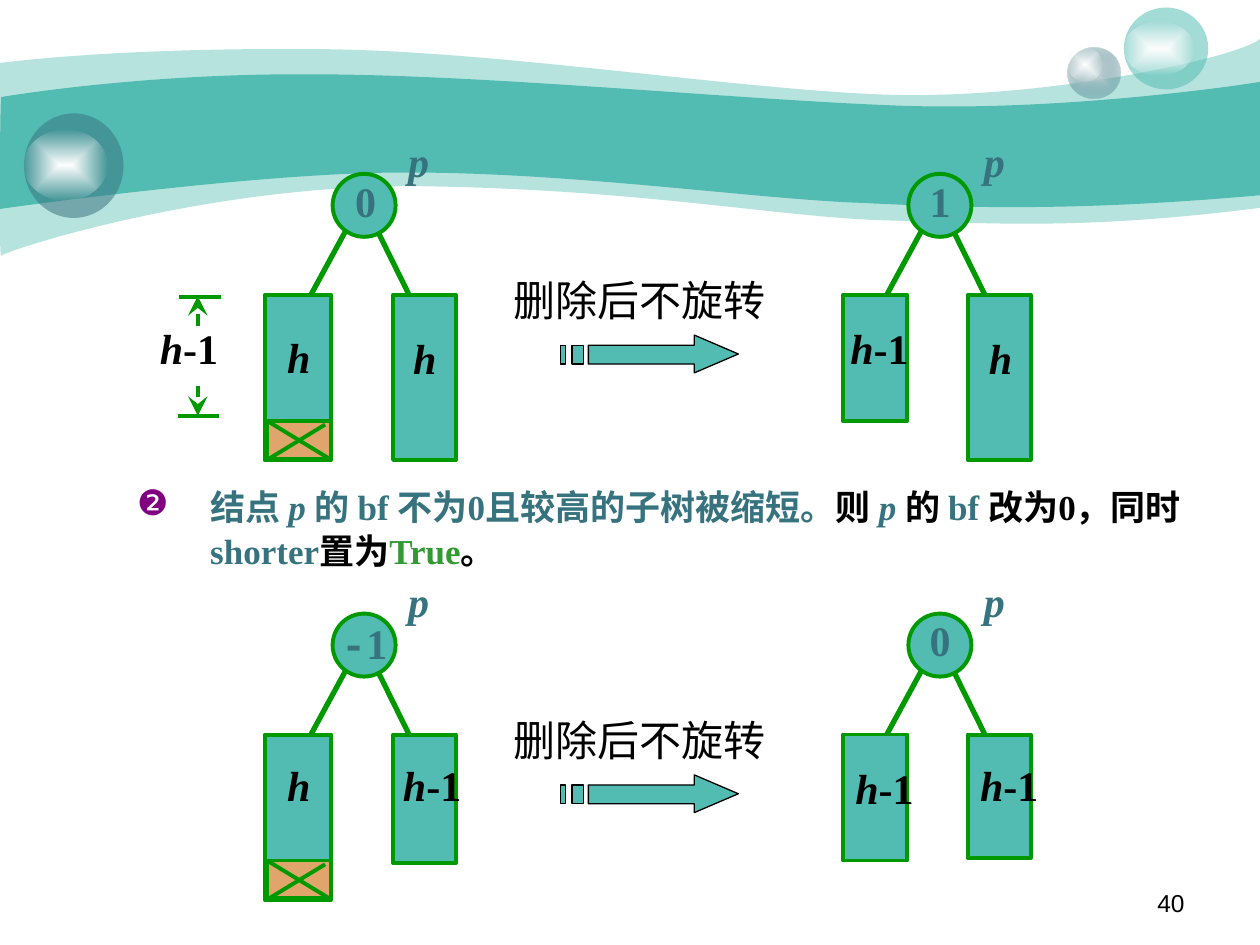
"""Build the slide on AVL tree deletion without rotation."""
from lxml.etree import SubElement
from pptx import Presentation
from pptx.dml.color import RGBColor
from pptx.enum.shapes import MSO_CONNECTOR, MSO_SHAPE
from pptx.enum.text import PP_ALIGN
from pptx.oxml.ns import qn
from pptx.util import Inches, Pt

COLORS = {"teal": "52BCB2", "slate": "37737F", "mist": "CCDBDE", "white": "FFFFFF",
          "green": "009900", "true": "339933", "sand": "E0A56A", "black": "000000",
          "bullet": "800080"}
SERIF = "Times New Roman"

prs = Presentation()
prs.slide_width, prs.slide_height = Inches(10), Inches(7.5)
slide = prs.slides.add_slide(prs.slide_layouts[6])
shapes = slide.shapes


def paint(shape, fill, line=None, width=2.25, alpha=100):
    shape.shadow.inherit = False
    shape.fill.solid()
    shape.fill.fore_color.rgb = RGBColor.from_string(COLORS[fill])
    if alpha < 100:
        color = shape.fill._xPr.find(qn("a:solidFill"))[0]
        SubElement(color, qn("a:alpha"), val=str(alpha * 1000))
    if line:
        shape.line.color.rgb = RGBColor.from_string(COLORS[line])
        shape.line.width = Pt(width)
    else:
        shape.line.fill.background()


def write(left, top, width, height, runs, size=24, bold=True, wrap=True):
    box = shapes.add_textbox(Inches(left), Inches(top), Inches(width), Inches(height))
    box.text_frame.word_wrap = wrap
    paragraph = box.text_frame.paragraphs[0]
    for text, color, italic, font in runs:
        run = paragraph.add_run()
        run.text = text
        run.font.name, run.font.size = font, Pt(size)
        run.font.bold, run.font.italic = bold, italic
        run.font.color.rgb = RGBColor.from_string(COLORS[color])
    return paragraph


waves = [
    (41, (0, 0.5),
     [[(0.24, 0.47), (1.07, 0.38), (2.47, 0.39)], [(3.86, 0.39), (5.75, 0.7), (6.99, 0.75)],
      [(8.22, 0.8), (9.8, 0.47), (10, 0.31)], [(10, 1.65)],
      [(8.58, 1.83), (7.87, 1.77), (7.05, 1.75)], [(6.22, 1.73), (5.15, 1.51), (3.43, 1.48)],
      [(1.72, 1.44), (0.04, 1.99), (0.01, 2.03)], [(-0.01, 2.08), (0, 0.75), (0, 0.5)]]),
    (100, (0.01, 0.77),
     [[(0.02, 0.77), (1.1, 0.58), (2.48, 0.59)], [(3.86, 0.59), (5.95, 0.8), (7.18, 0.84)],
      [(8.41, 0.88), (9.76, 0.69), (10, 0.65)], [(10, 1.55)],
      [(8.53, 1.68), (7.65, 1.65), (6.82, 1.61)], [(5.99, 1.58), (4.47, 1.36), (3.17, 1.37)],
      [(2.03, 1.37), (-0.02, 1.66), (-0.01, 1.66)], [(0, 1.66), (0, 0.77), (0.01, 0.77)]]),
]
for alpha, start, segments in waves:
    builder = shapes.build_freeform(Inches(start[0]), Inches(start[1]))
    builder.add_line_segments([(Inches(x), Inches(y)) for x, y in
                               (segment[-1] for segment in segments)], close=True)
    wave = builder.convert_to_shape()
    paint(wave, "teal", alpha=alpha)
    edges = list(wave._element.iter(qn("a:lnTo")))
    for edge, segment in zip(edges, segments):
        if len(segment) == 1:
            continue
        curve = edge.makeelement(qn("a:cubicBezTo"))
        for x, y in segment:
            SubElement(curve, qn("a:pt"), x=str(Inches(x) - wave.left),
                       y=str(Inches(y) - wave.top))
        edge.getparent().replace(edge, curve)

gloss = [("white", 100), ("white", 0)]
bubbles = [
    (8.47, 0.38, 0.42, 0.4, [("mist", 100), ("slate", 31)]),
    (8.47, 0.38, 0.28, 0.27, gloss),
    (8.92, 0.06, 0.67, 0.65, [("teal", 53)]),
    (8.92, 0.17, 0.56, 0.43, gloss),
    (0.19, 0.9, 0.79, 0.83, [("slate", 53)]),
    (0.19, 1.03, 0.66, 0.56, gloss),
]
for *place, stops in bubbles:
    bubble = shapes.add_shape(MSO_SHAPE.OVAL, *map(Inches, place))
    paint(bubble, stops[0][0], alpha=stops[0][1])
    if len(stops) == 1:
        continue
    bubble.fill.gradient()
    gradient = bubble.fill._xPr.find(qn("a:gradFill"))
    for child in list(gradient):
        gradient.remove(child)
    stop_list = SubElement(gradient, qn("a:gsLst"))
    for position, (color, alpha) in zip((0, 100000), stops):
        stop = SubElement(stop_list, qn("a:gs"), pos=str(position))
        stop_color = SubElement(stop, qn("a:srgbClr"), val=COLORS[color])
        SubElement(stop_color, qn("a:alpha"), val=str(alpha * 1000))
    focus = SubElement(gradient, qn("a:path"), path="rect")
    SubElement(focus, qn("a:fillToRect"), l="50000", t="50000", r="50000", b="50000")

page_number = write(7.17, 7, 2.33, 0.35, [("40", "black", False, "Arial")], 14, False)
page_number.alignment = PP_ALIGN.RIGHT

rule = write(0.49, 3.79, 9, 3.82, [
    (text, color, italic, SERIF) for text, color, italic in [
        ("结点 ", "slate", False), ("p ", "slate", True),
        ("的 bf 不为0且较高的子树被缩短。", "slate", False), ("则 ", "black", False),
        ("p ", "slate", True), ("的 ", "black", False), ("bf ", "slate", False),
        ("改为0，同时", "black", False), ("shorter", "slate", False),
        ("置为", "black", False), ("True", "true", False), ("。", "black", False)]], 20)
rule.line_spacing = 1.05
rule_properties = rule._p.get_or_add_pPr()
rule_properties.set("marL", str(Inches(1.08)))
rule_properties.set("indent", str(Inches(-0.58)))
bullet_color = SubElement(rule_properties, qn("a:buClr"))
SubElement(bullet_color, qn("a:srgbClr"), val=COLORS["bullet"])
SubElement(rule_properties, qn("a:buChar"), char="❷")

ROW, COLUMN = 3.49, 4.57
arrow_parts = [
    [(5.51, 2.66), (5.51, 2.74), (4.67, 2.74), (4.67, 2.89), (5.51, 2.89), (5.51, 2.96),
     (5.86, 2.81)],
    [(4.54, 2.74), (4.54, 2.89), (4.63, 2.89), (4.63, 2.74)],
    [(4.45, 2.74), (4.45, 2.89), (4.49, 2.89), (4.49, 2.74)],
]
for dy in (0, ROW):
    builder = None
    for part in arrow_parts:
        corners = [(Inches(x), Inches(y + dy)) for x, y in part]
        if builder is None:
            builder = shapes.build_freeform(*corners[0])
        else:
            builder.move_to(*corners[0])
        builder.add_line_segments(corners[1:], close=True)
    paint(builder.convert_to_shape(), "teal", "black", 0.75)
    write(3.98, 2.13 + dy, 2.2, 0.5, [("删除后不旋转", "black", False, SERIF)],
          bold=False, wrap=False)

height = [("h", "black", True, SERIF)]
shorter_height = height + [("-1", "black", False, SERIF)]
balance = {value: [(value, "slate", False, SERIF)] for value in "01"}
minus_one = [("-", "slate", False, "Courier New")] + balance["1"]
trees = [
    (0, 0, balance["0"], (2.72, 1.34), (2.1, 0.53, 1.31), (3.12, 0.5, 1.31), True,
     [(2.18, 2.58, height), (3.18, 2.59, height), (1.17, 2.51, shorter_height)]),
    (COLUMN, 0, balance["1"], (7.28, 1.34), (6.69, 0.51, 1), (7.68, 0.5, 1.31), False,
     [(7.75, 2.59, height), (6.65, 2.51, shorter_height)]),
    (0, ROW, minus_one, (2.61, 4.85), (2.1, 0.53, 1.31), (3.12, 0.5, 1.02), True,
     [(2.18, 5.98, height), (3.1, 5.98, shorter_height)]),
    (COLUMN, ROW, balance["0"], (7.28, 4.83), (6.69, 0.51, 1), (7.68, 0.5, 0.98), False,
     [(6.69, 6, shorter_height), (7.68, 5.98, shorter_height)]),
]
branches = [(2.98, 1.8, 3.39, 2.63, 3, False), (2.81, 1.71, 2.31, 2.63, 3, False)]
cross = [(2.58, 3.37, 2.12, 3.65, 2.25, False), (2.12, 3.34, 2.63, 3.65, 2.25, False)]
measure = [(1.57, 3.06, 1.57, 3.3, 2.25, True), (1.41, 3.3, 1.74, 3.3, 2.25, False),
           (1.42, 2.36, 1.75, 2.36, 2.25, False), (1.57, 2.59, 1.57, 2.35, 2.25, True)]
for dx, dy, root, root_at, left_tree, right_tree, deleted, labels in trees:
    nodes = [(MSO_SHAPE.OVAL, 2.64 + dx, 1.38, 0.5, 0.5, "teal")]
    for x, w, h in (left_tree, right_tree):
        nodes.append((MSO_SHAPE.RECTANGLE, x, 2.34, w, h, "teal"))
    marks = []
    if deleted:
        nodes.append((MSO_SHAPE.RECTANGLE, 2.12, 3.34, 0.51, 0.3, "sand"))
        marks = cross + (measure if dy == 0 else [])
    write(3.14 + dx, 1.03 + dy, 0.52, 0.5, [("p", "slate", True, SERIF)])
    for strokes, figures in ((branches, nodes), (marks, [])):
        for x1, y1, x2, y2, weight, arrow in strokes:
            stroke = shapes.add_connector(MSO_CONNECTOR.STRAIGHT, Inches(x1 + dx),
                                          Inches(y1 + dy), Inches(x2 + dx), Inches(y2 + dy))
            stroke.line.color.rgb = RGBColor.from_string(COLORS["green"])
            stroke.line.width = Pt(weight)
            if arrow:
                SubElement(stroke.line._get_or_add_ln(), qn("a:tailEnd"),
                           type="stealth", w="lg", len="lg")
            SubElement(stroke._element.spPr, qn("a:effectLst"))
        for kind, x, y, w, h, fill in figures:
            node = shapes.add_shape(kind, Inches(x), Inches(y + dy), Inches(w), Inches(h))
            paint(node, fill, "green")
    write(*root_at, 0.58, 0.5, root)
    for x, y, runs in labels:
        write(x, y, 0.42 if runs is height else 0.83, 0.5, runs)

prs.save("out.pptx")
